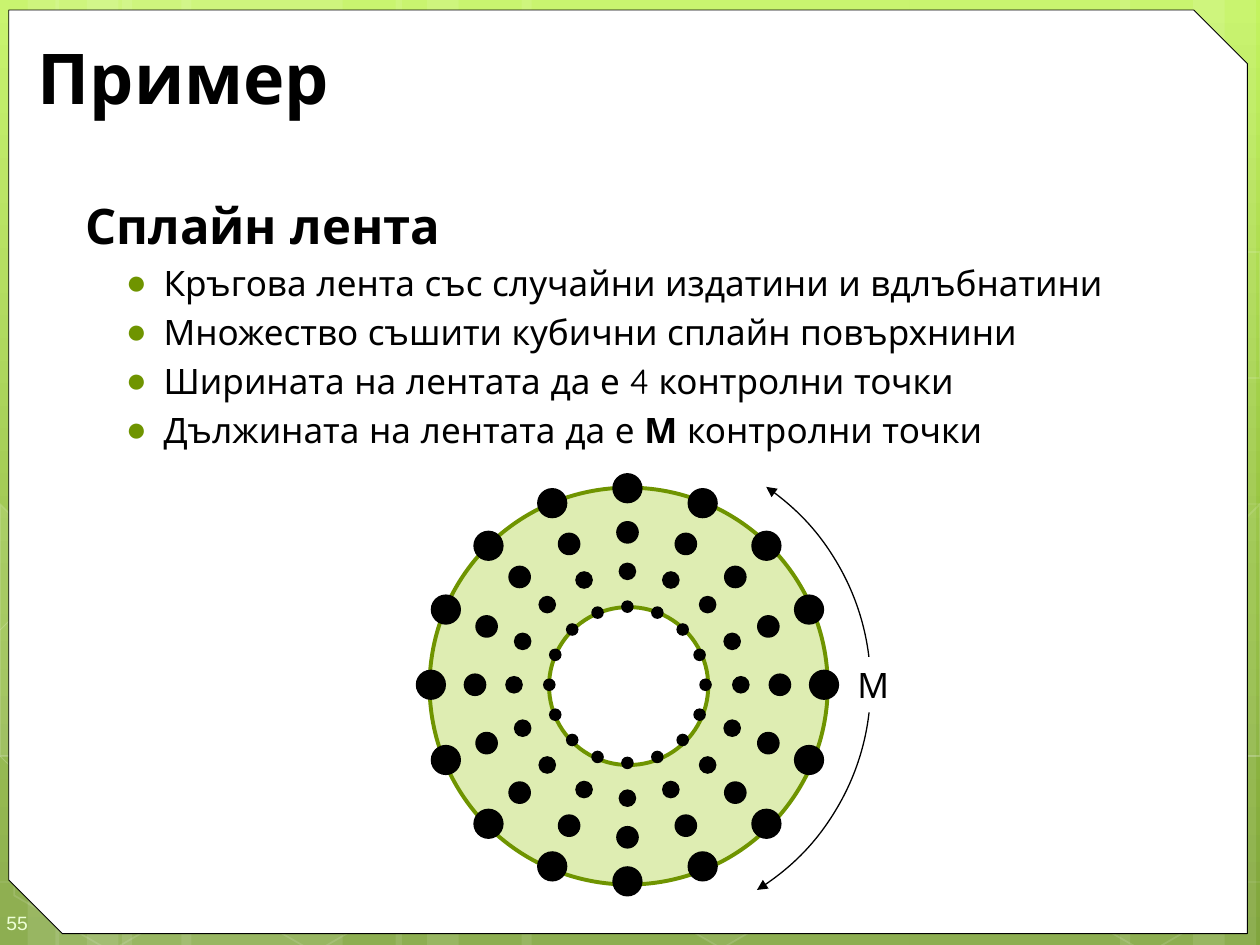
from copy import deepcopy
from math import cos, radians, sin

from lxml import etree
from pptx import Presentation
from pptx.dml.color import RGBColor
from pptx.enum.shapes import MSO_SHAPE
from pptx.enum.text import MSO_ANCHOR, MSO_AUTO_SIZE, PP_ALIGN
from pptx.oxml.ns import qn
from pptx.util import Inches, Pt

COLORS = {
    "black": "000000", "white": "FFFFFF", "lime": "94C600", "olive": "6F9400",
    "number": "EEFFD6", "bg_top": "C3F35F", "bg_mid": "93BF3F", "bg_end": "81A53E",
}
FONT = "Quicksand"

# left and width of each pale vertical band
BANDS = [(0.97, 1.75), (-0.03, 0.5), (0.22, 0.83), (1.44, 1.75), (0.44, 0.5), (0.69, 0.83),
         (7.22, 1.75), (9.47, 0.5), (8.89, 0.83), (4.14, 3.08), (3.14, 0.5), (3.39, 0.83)]
# each wave is a start point followed by Bezier triples
WAVES = [
    [(-0.04, 6.73), (0.5, 6.76), (1.04, 6.79), (1.79, 6.78), (2.54, 6.77), (3.46, 6.75),
     (4.47, 6.65), (5.47, 6.55), (6.89, 6.36), (7.8, 6.17), (8.72, 5.98), (9.66, 5.68),
     (9.96, 5.51)],
    [(-0.04, 4.77), (0.25, 4.61), (0.54, 4.46), (1.1, 4.31), (1.67, 4.16), (2.47, 3.94),
     (3.36, 3.87), (4.25, 3.8), (5.33, 3.79), (6.43, 3.87), (7.53, 3.95), (9.36, 4.26),
     (9.96, 4.34)],
    [(-0.05, 6.17), (1.15, 6.72), (2.36, 7.27), (3.23, 7.49)],
    [(-0.04, 5.78), (0.27, 5.89), (0.59, 6), (1.17, 6.16), (1.75, 6.31), (2.62, 6.56),
     (3.45, 6.73), (4.29, 6.9), (5.34, 7.08), (6.17, 7.18), (6.99, 7.29), (7.89, 7.33),
     (8.41, 7.36), (8.94, 7.4), (9.08, 7.38), (9.34, 7.38), (9.59, 7.37), (9.78, 7.35),
     (9.96, 7.34)],
    [(2.31, 7.49), (2.49, 7.29), (2.67, 7.09), (2.91, 6.91), (3.15, 6.73), (3.49, 6.53),
     (3.76, 6.39), (4.04, 6.25), (4.22, 6.19), (4.58, 6.09), (4.95, 5.99), (5.62, 5.85),
     (5.97, 5.78), (6.32, 5.71), (6.38, 5.71), (6.69, 5.69), (7, 5.66), (7.49, 5.63),
     (7.83, 5.62), (8.17, 5.61), (8.75, 5.62), (8.75, 5.62), (8.97, 5.62), (9.19, 5.62),
     (9.41, 5.62), (9.6, 5.63), (9.77, 5.64), (9.95, 5.66)],
]
# left, top, fill opacity and line opacity
HEXAGONS = [(3.25, 3.13, 10, 12), (4.04, 4.51, 0, 12), (4.05, 1.74, 7, 8), (3.23, 0.36, 4, 8),
            (4.85, 5.89, 6, 12), (0, 5.91, 0, 12), (0.03, 3.12, 7, 8), (0.82, 4.51, 0, 12),
            (1.62, 5.92, 0, 12), (1.65, 3.13, 7, 8), (0.84, 1.71, 0, 12), (7.42, 4.53, 10, 12),
            (8.23, 5.93, 0, 12), (8.23, 3.14, 7, 8)]
# cut hexagons at the slide edges: points and fill opacity
CUT_HEXAGONS = [
    ([(-0.03, 4.45), (0.08, 4.38), (0.85, 4.82), (0.84, 5.7), (0.09, 6.14), (-0.03, 6.07)], 10),
    ([(9.15, 4.85), (9.9, 4.41), (9.97, 4.46), (9.98, 6.13), (9.91, 6.17), (9.14, 5.73)], 4),
    ([(9.15, 2.07), (9.9, 1.63), (9.98, 1.68), (9.98, 3.35), (9.91, 3.39), (9.14, 2.95)], 0),
]
BULLETS = [
    [("Кръгова лента със случайни издатини и вдлъбнатини", False)],
    [("Множество съшити кубични сплайн повърхнини", False)],
    [("Ширината на лентата да е 4 контролни точки", False)],
    [("Дължината на лентата да е ", False), ("М ", True), ("контролни точки", False)],
]


def rgb(name):
    return RGBColor.from_string(COLORS[name])


def paint(fill, color, opacity=100):
    if not opacity:
        fill.background()
        return
    fill.solid()
    fill.fore_color.rgb = rgb(color)
    if opacity < 100:
        clr = fill._xPr.find(qn("a:solidFill"))[0]
        etree.SubElement(clr, qn("a:alpha"), val=str(opacity * 1000))


def style(sp, fill="white", opacity=100, line=None, width=1, line_opacity=100):
    sp.shadow.inherit = False
    paint(sp.fill, fill, opacity)
    if line:
        paint(sp.line.fill, line, line_opacity)
        sp.line.width = Pt(width)
    else:
        sp.line.fill.background()
    return sp


def add_shape(shapes, kind, x, y, w, h, adj=(), **look):
    sp = shapes.add_shape(kind, Inches(x), Inches(y), Inches(w), Inches(h))
    for i, value in enumerate(adj):
        sp.adjustments[i] = value
    return style(sp, **look)


def add_path(shapes, points, close, **look):
    builder = shapes.build_freeform(*points[0], scale=Inches(1))
    builder.add_line_segments(points[1:], close=close)
    return style(builder.convert_to_shape(), **look)


def bend(sp):
    """Turn every three line segments of a freeform into one Bezier curve."""
    segments = list(sp._element.iter(qn("a:lnTo")))
    outline = segments[0].getparent()
    for i in range(0, len(segments), 3):
        cubic = etree.SubElement(outline, qn("a:cubicBezTo"))
        for segment in segments[i:i + 3]:
            cubic.append(segment[0])
            outline.remove(segment)


def add_run(p, text, size=20, color="black", bold=False, font=FONT):
    r = p.add_run()
    r.text = text
    r.font.size, r.font.bold, r.font.name = Pt(size), bold, font
    r.font.color.rgb = rgb(color)


def set_background(slide):
    fill = slide.background.fill
    fill.gradient()
    fill.gradient_angle = 270
    stops = slide.element.find(".//" + qn("a:gsLst"))
    stops.insert(1, deepcopy(stops[0]))
    for stop, color, pos in zip(fill.gradient_stops, ("bg_top", "bg_mid", "bg_end"),
                                (0, 0.62, 1)):
        stop.color.rgb = rgb(color)
        stop.position = pos


def add_backdrop(shapes, width, height):
    for x, w in BANDS:
        add_shape(shapes, MSO_SHAPE.RECTANGLE, x, 0, w, height, opacity=10)
    for points in WAVES:
        bend(add_path(shapes, points, False, opacity=0, line="white", width=0.5,
                      line_opacity=20))
    for x, y, opacity, line_opacity in HEXAGONS:
        sp = add_shape(shapes, MSO_SHAPE.HEXAGON, x, y, 1.75, 1.52, [0.285],
                       opacity=opacity, line="white", line_opacity=line_opacity)
        sp.rotation = 30
    for points, opacity in CUT_HEXAGONS:
        add_path(shapes, points, True, opacity=opacity, line="white", line_opacity=12)
    add_shape(shapes, MSO_SHAPE.SNIP_2_DIAG_RECTANGLE, 0.07, 0.08, width - 0.17, height - 0.17,
              [0, 0.058], line="black", width=0.5)


def add_slide_number(shapes, x, y, w, h):
    tf = shapes.add_textbox(Inches(x), Inches(y), Inches(w), Inches(h)).text_frame
    tf.word_wrap = True
    tf.vertical_anchor = MSO_ANCHOR.MIDDLE
    tf.margin_left, tf.margin_top = Inches(0.05), Inches(0.15)
    tf.margin_right, tf.margin_bottom = 0, Inches(0.1)
    add_run(tf.paragraphs[0], "55", size=11, color="number", font="Arial")


def set_title(shapes, x, y, w, h):
    title = shapes.title
    shapes._spTree.append(title._element)  # bring in front of the white panel
    title.left, title.top, title.width, title.height = map(Inches, (x, y, w, h))
    tf = title.text_frame
    tf.auto_size = MSO_AUTO_SIZE.NONE
    tf.vertical_anchor = MSO_ANCHOR.MIDDLE
    tf.paragraphs[0].alignment = PP_ALIGN.LEFT
    add_run(tf.paragraphs[0], "Пример", size=40, bold=True)


def add_body(shapes, x, y, w, h):
    tf = shapes.add_textbox(Inches(x), Inches(y), Inches(w), Inches(h)).text_frame
    tf.word_wrap = True
    p = tf.paragraphs[0]
    p._p.get_or_add_pPr().set("marL", str(Inches(0.08)))
    add_run(p, "Сплайн лента", size=28, bold=True)
    for runs in BULLETS:
        p = tf.add_paragraph()
        p.space_before = Pt(4)
        pPr = p._p.get_or_add_pPr()
        pPr.set("marL", str(Inches(0.7)))
        pPr.set("indent", str(Inches(-0.3)))
        color = etree.SubElement(pPr, qn("a:buClr"))
        etree.SubElement(color, qn("a:srgbClr"), val=COLORS["olive"])
        etree.SubElement(pPr, qn("a:buFont"), typeface="Arial")
        etree.SubElement(pPr, qn("a:buChar"), char="●")
        for text, bold in runs:
            add_run(p, text, bold=bold)


def add_ribbon(shapes, x, y, w, h):
    """Ring with 16 rays of 4 control points, and the arrow that counts them."""
    add_shape(shapes, MSO_SHAPE.DONUT, x, y, w, h, [0.301], fill="lime", opacity=30,
              line="olive", width=2.25)
    cx, cy = x + w / 2, y + h / 2 - 0.01
    dots = shapes.add_group_shape().shapes
    for ray in range(16):
        angle = radians(ray * 360 / 16)
        for radius, d in ((0.62, 0.1), (0.9, 0.14), (1.21, 0.18), (1.56, 0.24)):
            add_shape(dots, MSO_SHAPE.OVAL, cx - 0.01 + radius * cos(angle) - d / 2,
                      cy + radius * sin(angle) - d / 2, d, d, fill="black")
    arc = add_shape(shapes, MSO_SHAPE.ARC, cx - 1.92, cy - 1.91, 3.84, 3.83,
                    [182.823, 34.739], opacity=0, line="black", width=0.75)
    for end in ("a:headEnd", "a:tailEnd"):
        etree.SubElement(arc.line._get_or_add_ln(), qn(end), type="triangle")
    tf = add_shape(shapes, MSO_SHAPE.RECTANGLE, cx + 1.71, cy - 0.22, 0.46, 0.44).text_frame
    tf.word_wrap = False
    tf.paragraphs[0].alignment = PP_ALIGN.CENTER
    add_run(tf.paragraphs[0], "М")


def main():
    prs = Presentation()
    prs.slide_width, prs.slide_height = Inches(10), Inches(7.5)
    slide = prs.slides.add_slide(prs.slide_layouts[5])
    set_background(slide)
    add_backdrop(slide.shapes, 10, 7.5)
    add_slide_number(slide.shapes, 0, 7.1, 0.58, 0.4)
    set_title(slide.shapes, 0.2, 0.25, 9.47, 0.71)
    add_body(slide.shapes, 0.5, 1.5, 9.42, 5.92)
    add_ribbon(slide.shapes, 3.41, 3.87, 3.16, 3.15)
    prs.save("out.pptx")


if __name__ == "__main__":
    main()
